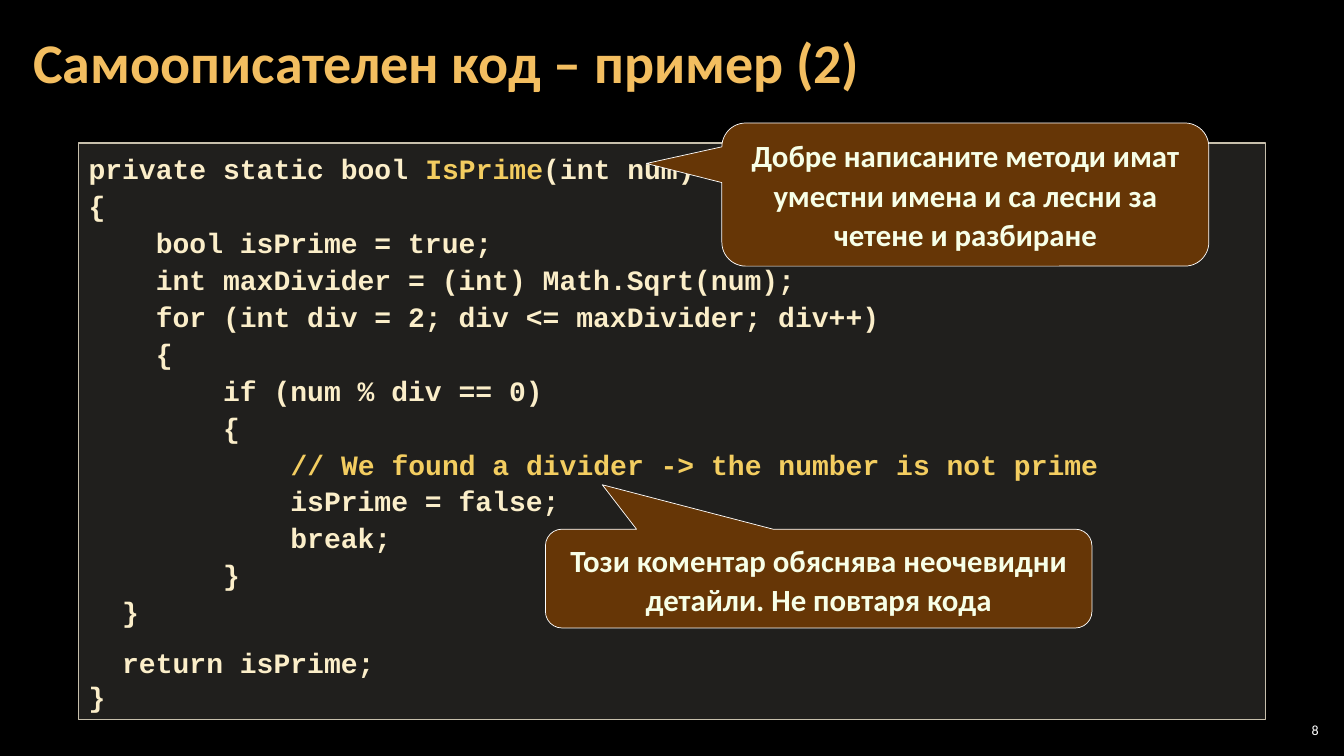
"""Builds the slide about self-documenting code, example 2."""
import pptx
import pptx.util
import pptx.dml.color
import pptx.enum.shapes
import pptx.enum.text
import pptx.oxml.ns
import lxml.etree

Inches = pptx.util.Inches
Pt = pptx.util.Pt
RGBColor = pptx.dml.color.RGBColor
Shapes = pptx.enum.shapes.MSO_SHAPE
Align = pptx.enum.text.PP_ALIGN
Anchor = pptx.enum.text.MSO_ANCHOR

BLACK = RGBColor(0x00, 0x00, 0x00)
WHITE = RGBColor(0xFF, 0xFF, 0xFF)
TITLE_GOLD = RGBColor(0xF3, 0xBE, 0x60)
CODE_CREAM = RGBColor(0xFB, 0xEE, 0xC9)
CODE_GOLD = RGBColor(0xF3, 0xCD, 0x60)
PANEL_FILL = RGBColor(0xD9, 0xD5, 0xC7)
PANEL_LINE = RGBColor(0xC7, 0xBF, 0xAC)
CALLOUT_BROWN = RGBColor(0x66, 0x36, 0x06)
CALLOUT_TEXT = RGBColor(0xF7, 0xFF, 0xE7)


def add_run(paragraph, text, font, size, color, bold=True):
    run = paragraph.add_run()
    run.text = text
    run.font.name = font
    run.font.size = Pt(size)
    run.font.bold = bold
    run.font.color.rgb = color


def add_panel(preset, box, fill, line, line_width):
    panel = slide.shapes.add_shape(preset, *map(Inches, box))
    panel.shadow.inherit = False
    panel.fill.solid()
    panel.fill.fore_color.rgb = fill
    panel.line.color.rgb = line
    panel.line.width = Pt(line_width)
    panel.text_frame.word_wrap = True
    panel.text_frame.vertical_anchor = Anchor.TOP
    return panel


deck = pptx.Presentation()
deck.slide_width = Inches(13.33)
deck.slide_height = Inches(7.5)
slide = deck.slides.add_slide(deck.slide_layouts[6])
slide.background.fill.solid()
slide.background.fill.fore_color.rgb = BLACK

labels = [
    ((0.21, 0.04, 12.91, 1.21), 0.12, "Самоописателен код – пример (2)",
     40, TITLE_GOLD, True, Align.LEFT, 0.9),
    ((12.65, 7.14, 0.47, 0.21), 0.04, "8", 10, WHITE, False, Align.RIGHT, 1.0),
]
for box, side_inset, text, size, color, bold, alignment, spacing in labels:
    frame = slide.shapes.add_textbox(*map(Inches, box)).text_frame
    frame.word_wrap = True
    frame.vertical_anchor = Anchor.MIDDLE
    frame.margin_left = frame.margin_right = Inches(side_inset)
    frame.margin_top = frame.margin_bottom = Inches(0.04)
    line = frame.paragraphs[0]
    line.alignment = alignment
    line.line_spacing = spacing
    add_run(line, text, "Calibri", size, color, bold)

code_lines = [
    [("private static bool ", CODE_CREAM), ("IsPrime", CODE_GOLD), ("(int num)", CODE_CREAM)],
    [("{", CODE_CREAM)],
    [("    bool isPrime = true;", CODE_CREAM)],
    [("    int maxDivider = (int) Math.Sqrt(num);", CODE_CREAM)],
    [("    for (int div = 2; div <= maxDivider; div++)", CODE_CREAM)],
    [("    {", CODE_CREAM)],
    [("        if (num % div == 0)", CODE_CREAM)],
    [("        {", CODE_CREAM)],
    [("            ", CODE_CREAM),
     ("// We found a divider -> the number is not prime", CODE_GOLD)],
    [("            isPrime = false;", CODE_CREAM)],
    [("            break;", CODE_CREAM)],
    [("        }", CODE_CREAM)],
    [("  }", CODE_CREAM)],
    [("  return isPrime;", CODE_CREAM)],
    [("}", CODE_CREAM)],
]
code_panel = add_panel(Shapes.RECTANGLE, (0.78, 1.42, 11.77, 5.72), PANEL_FILL, PANEL_LINE, 1)
panel_color = code_panel.fill._xPr.find(".//" + pptx.oxml.ns.qn("a:srgbClr"))
lxml.etree.SubElement(panel_color, pptx.oxml.ns.qn("a:alpha"), val="15000")
code_frame = code_panel.text_frame
for index, pieces in enumerate(code_lines):
    line = code_frame.add_paragraph() if index else code_frame.paragraphs[0]
    line.alignment = Align.LEFT
    line.line_spacing = 1.0 if index == len(code_lines) - 1 else 1.1
    if pieces[0][0].strip().startswith("return"):
        line.space_before = Pt(10)
    for text, color in pieces:
        add_run(line, text, "Courier New", 20, color)

callouts = [
    ((7.16, 1.22, 4.83, 1.42), (-0.655, -0.217),
     "Добре написаните методи имат уместни имена и са лесни за четене и разбиране"),
    ((5.41, 5.25, 5.42, 0.98), (-0.396, -0.95),
     "Този коментар обяснява неочевидни детайли. Не повтаря кода"),
]
for box, (tip_x, tip_y), remark in callouts:
    callout = add_panel(Shapes.ROUNDED_RECTANGULAR_CALLOUT, box, CALLOUT_BROWN, WHITE, 0.5)
    callout.adjustments[0] = tip_x
    callout.adjustments[1] = tip_y
    callout.adjustments[2] = 0.167
    line = callout.text_frame.paragraphs[0]
    line.alignment = Align.CENTER
    line.line_spacing = Pt(28)
    add_run(line, remark, "Calibri", 22, CALLOUT_TEXT)

deck.save("out.pptx")
